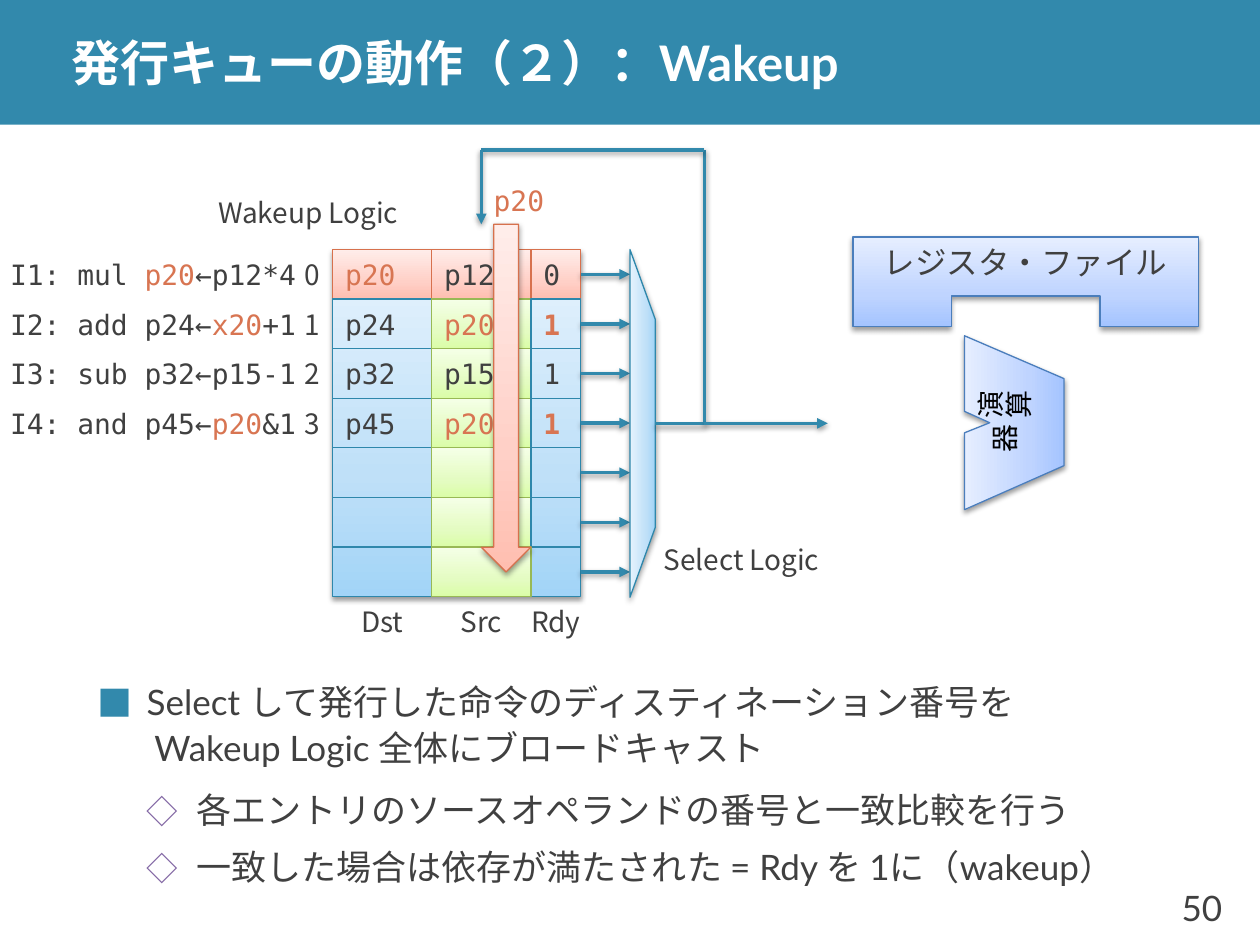
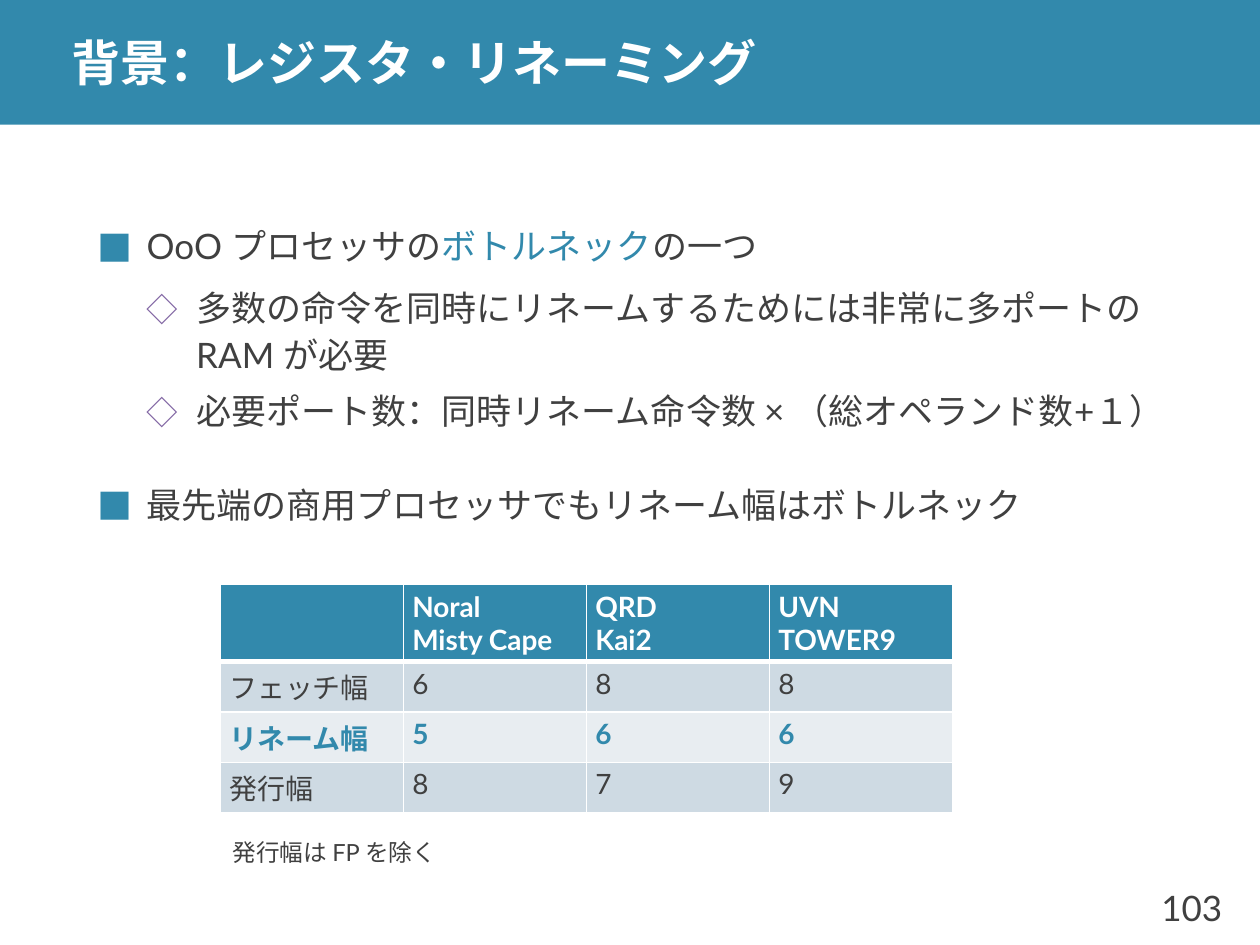
"""Build two slides on issue-queue wakeup and register renaming."""
from dataclasses import dataclass

from pptx import Presentation
from pptx.dml import color as dml
from pptx.enum import shapes, text
from pptx.oxml import parse_xml
from pptx.oxml.ns import nsdecls, qn
from pptx.util import Inches, Pt

NS = nsdecls("a")
CELL = 1 / 2.54
GRID_LEFT, GRID_TOP, ROWS = 2.64, 1.98, 7
COLUMNS = {"Dst": (0, 2), "Src": (2, 2), "Rdy": (4, 1)}


@dataclass(frozen=True)
class Theme:
    """Colours, fonts and type sizes of the deck."""

    accent: str = "3289AC"
    ink: str = "404040"
    white: str = "FFFFFF"
    black: str = "000000"
    hot: str = "D87552"
    diamond: str = "8064A2"
    row_dark: str = "CEDAE3"
    row_light: str = "E8EDF1"
    sans: str = "Lato"
    label_font: str = "Noto Sans CJK JP"
    mono: str = "DejaVu Sans Mono"
    narrow: str = "Arial Narrow"
    title_size: float = 28
    body_size: float = 20
    block_size: float = 18
    label_size: float = 16
    note_size: float = 13.5


@dataclass(frozen=True)
class Paint:
    """Gradient stops and outline colour of a shape."""

    stops: tuple
    line: str


THEME = Theme()
BLUE = Paint(("A2D4F7", "BFE0F8", "E6F3FD"), "2E87AB")
RED = Paint(("FFBEB0", "FFD0C7", "FFEDEA"), "D7714D")
GREEN = Paint(("DAFDA7", "E4FCC2", "F5FFE7"), "98B955")
INDIGO = Paint(("A4C4FF", "BFD4FF", "E6EEFF"), "4B7EBC")
OUTLINE = Paint((), "2E87AB")


def rgb(value):
    """Return a colour from its hex digits."""
    return dml.RGBColor.from_string(value)


def box(left, top, width, height):
    """Return a box in inches as lengths."""
    return [Inches(value) for value in (left, top, width, height)]


def place(shape, area):
    """Move and resize a shape."""
    shape.left, shape.top, shape.width, shape.height = area


def write(paragraph, runs, size=THEME.label_size, font=THEME.sans, bold=False):
    """Add (text, colour) runs to a paragraph, breaking lines at newlines."""
    for content, color in runs:
        for index, line in enumerate(content.split("\n")):
            if index:
                paragraph.add_line_break()
            run = paragraph.add_run()
            run.text = line
            run.font.name, run.font.size, run.font.bold = font, Pt(size), bold
            run.font.color.rgb = rgb(color)
            run.font._element.append(
                parse_xml(f'<a:ea {NS} typeface="{THEME.label_font}"/>'))


def set_frame(frame, anchor=text.MSO_ANCHOR.MIDDLE, wrap=False):
    """Set the anchor and wrapping of a text frame."""
    frame.auto_size = text.MSO_AUTO_SIZE.NONE
    frame.word_wrap = wrap
    frame.vertical_anchor = anchor
    return frame.paragraphs[0]


def add_label(slide, area, runs, align=text.PP_ALIGN.LEFT, inset=0.1, **style):
    """Add an unwrapped, vertically centred line of text."""
    frame = slide.shapes.add_textbox(*area).text_frame
    frame.margin_left = frame.margin_right = Inches(inset)
    paragraph = set_frame(frame)
    paragraph.alignment = align
    write(paragraph, runs, **style)


def add_shadow(shape):
    """Give a shape or connector the soft shadow of the diagram."""
    properties = shape._element.spPr
    for effect in properties.findall(qn("a:effectLst")):
        properties.remove(effect)
    properties.append(parse_xml(
        f'<a:effectLst {NS}><a:outerShdw blurRad="{Pt(3.1)}" dist="{Pt(1.6)}" dir="5400000" '
        'rotWithShape="0"><a:srgbClr val="000000"><a:alpha val="38000"/></a:srgbClr>'
        '</a:outerShdw></a:effectLst>'))


def paint_shape(shape, paint, shadow=False):
    """Apply a gradient, outline and optional shadow."""
    shape.fill.background()
    if paint.stops:
        stops = "".join(
            f'<a:gs pos="{position}"><a:srgbClr val="{color}"/></a:gs>'
            for position, color in zip((0, 35000, 100000), paint.stops))
        properties = shape._element.spPr
        properties.replace(properties.find(qn("a:noFill")), parse_xml(
            f'<a:gradFill {NS} rotWithShape="1"><a:gsLst>{stops}</a:gsLst>'
            '<a:lin ang="16200000" scaled="0"/></a:gradFill>'))
    shape.line.color.rgb = rgb(paint.line)
    shape.line.width = Pt(0.75)
    shape.shadow.inherit = False
    if shadow:
        add_shadow(shape)


def add_block(slide, kind, area, paint, shadow=False, rotation=0):
    """Add a painted preset shape."""
    shape = slide.shapes.add_shape(kind, *area)
    shape.rotation = rotation
    paint_shape(shape, paint, shadow)
    return shape


def add_outline(slide, points, close=True):
    """Add a freeform through points given in inches."""
    start, *rest = [(Inches(x), Inches(y)) for x, y in points]
    builder = slide.shapes.build_freeform(*start, scale=1.0)
    builder.add_line_segments(rest, close=close)
    return builder.convert_to_shape()


def style_wire(wire, arrow=False):
    """Style a wire and give it an arrowhead if asked."""
    wire.line.color.rgb = rgb(THEME.accent)
    wire.line.width = Pt(2)
    if arrow:
        wire.line._get_or_add_ln().append(parse_xml(f'<a:tailEnd {NS} type="triangle"/>'))
    add_shadow(wire)


def add_wire(slide, start, end, arrow=True, source=None):
    """Add a straight wire, joined to the right side of a source if given."""
    wire = slide.shapes.add_connector(
        shapes.MSO_CONNECTOR.STRAIGHT, *[Inches(value) for value in (*start, *end)])
    if source is not None:
        wire.begin_connect(source, 3)
    style_wire(wire, arrow)


def add_band(slide):
    """Put the title band in the layout that the slides share."""
    band = slide.shapes.add_shape(shapes.MSO_SHAPE.RECTANGLE, *box(0, 0, 10, 0.99))
    band.fill.solid()
    band.fill.fore_color.rgb = rgb(THEME.accent)
    band.line.fill.background()
    band.shadow.inherit = False
    slide.slide_layout.shapes.element.insert(2, band._element)


def add_slide(presentation, title, number):
    """Add a slide with its title and page number."""
    slide = presentation.slides.add_slide(presentation.slide_layouts[1])
    place(slide.shapes.title, box(0.47, 0, 9.53, 0.99))
    frame = slide.shapes.title.text_frame
    frame.margin_top = frame.margin_bottom = 0
    paragraph = set_frame(frame, wrap=True)
    paragraph.alignment = text.PP_ALIGN.LEFT
    write(paragraph, [(title, THEME.white)], THEME.title_size, bold=True)
    add_label(slide, box(9.13, 6.9, 0.67, 0.6), [(number, THEME.ink)],
              text.PP_ALIGN.RIGHT, size=THEME.body_size)
    return slide


def fill_body(slide, area, items):
    """Write (level, runs) items as bullets in the body placeholder."""
    body = slide.placeholders[1]
    place(body, area)
    first = set_frame(body.text_frame, wrap=True)
    bullets = (("■", THEME.accent, 100, 24, 6), ("◇", THEME.diamond, 90, 3, 3))
    for index, (level, runs) in enumerate(items):
        paragraph = body.text_frame.add_paragraph() if index else first
        mark, color, percent, before, after = bullets[level]
        properties = paragraph._p.get_or_add_pPr()
        properties.set("marL", str(Inches(CELL * (level + 1))))
        properties.set("indent", str(-Inches(CELL)))
        for element in (f'<a:buClr {NS}><a:srgbClr val="{color}"/></a:buClr>',
                        f'<a:buSzPct {NS} val="{percent}000"/>',
                        f'<a:buFont {NS} typeface="{THEME.label_font}"/>',
                        f'<a:buChar {NS} char="{mark}"/>'):
            properties.append(parse_xml(element))
        paragraph.level = level
        paragraph.line_spacing = 1.1
        paragraph.space_before = Pt(before if index else 0)
        paragraph.space_after = Pt(after)
        write(paragraph, runs, THEME.body_size)


def grid_box(column, row):
    """Return the box of a queue cell."""
    offset, span = COLUMNS[column]
    return box(GRID_LEFT + offset * CELL, GRID_TOP + row * CELL, span * CELL, CELL)


def add_queue(slide):
    """Draw the issue queue with its ready wires and column names."""
    ink, hot = THEME.ink, THEME.hot
    entries = [
        (("p20", hot), ("p12", ink), ("0", ink)),
        (("p24", ink), ("p20", hot), ("1", hot)),
        (("p32", ink), ("p15", ink), ("1", ink)),
        (("p45", ink), ("p20", hot), ("1", hot)),
    ]
    rectangle = shapes.MSO_SHAPE.RECTANGLE
    add_block(slide, rectangle, box(GRID_LEFT, GRID_TOP, 5 * CELL, ROWS * CELL), BLUE, True)
    for row in range(ROWS):
        ready = None
        for index, name in enumerate(COLUMNS):
            if row == ROWS - 1 and name != "Src":
                continue
            paint = RED if row == 0 else GREEN if name == "Src" else OUTLINE
            cell = add_block(slide, rectangle, grid_box(name, row), paint)
            if row < len(entries):
                value = entries[row][index]
                paragraph = set_frame(cell.text_frame)
                paragraph.alignment = text.PP_ALIGN.LEFT
                write(paragraph, [value], font=THEME.mono,
                      bold=name == "Rdy" and value[1] == hot)
            if name == "Rdy":
                ready = cell
        middle = GRID_TOP + (row + 0.5) * CELL
        add_wire(slide, (4.61, middle), (5, middle), source=ready)
    for name in COLUMNS:
        add_label(slide, grid_box(name, ROWS), [(name, ink)], text.PP_ALIGN.CENTER,
                  font=THEME.label_font)


def add_instructions(slide):
    """List the instructions beside the queue with their entry numbers."""
    ink, hot = THEME.ink, THEME.hot
    instructions = [
        [("I1: mul ", ink), ("p20", hot), ("←p12*4", ink)],
        [("I2: add p24←", ink), ("x20", hot), ("+1", ink)],
        [("I3: sub p32←p15-1", ink)],
        [("I4: and p45←", ink), ("p20", hot), ("&1", ink)],
    ]
    for row, runs in enumerate(instructions):
        top = GRID_TOP + row * CELL
        add_label(slide, box(0.08, top, 0.79, CELL), runs, inset=0, font=THEME.mono)
        add_label(slide, box(1.85, top, 0.79, CELL), [(str(row), ink)],
                  text.PP_ALIGN.RIGHT, font=THEME.label_font)


def add_select_logic(slide):
    """Draw the selector, its output and the feedback to wakeup."""
    add_block(slide, shapes.MSO_SHAPE.FLOWCHART_MANUAL_OPERATION,
              box(3.72, 3.26, 2.76, 0.2), BLUE, True, 270)
    feedback = add_outline(slide, [(5.2, 3.36), (5.59, 3.36), (5.59, 1.19)], close=False)
    feedback.fill.background()
    style_wire(feedback)
    add_wire(slide, (3.82, 1.19), (5.59, 1.19), arrow=False)
    add_wire(slide, (5.59, 3.36), (6.57, 3.36))
    add_wire(slide, (3.82, 1.19), (3.82, 1.78))
    for name, left, top in (("Wakeup Logic", 2.05, 1.49), ("Select Logic", 5.49, 4.24)):
        add_label(slide, box(left, top, 0.79, CELL), [(name, THEME.ink)],
                  text.PP_ALIGN.CENTER, font=THEME.label_font)
    add_label(slide, box(3.82, 1.39, 0.79, CELL), [("p20", THEME.hot)], font=THEME.mono)
    add_block(slide, shapes.MSO_SHAPE.DOWN_ARROW, box(3.82, 1.78, CELL, 2.76), RED, True)


def add_datapath(slide):
    """Draw the register file and the arithmetic unit."""
    unit = add_outline(slide, [(8.74, 2.96), (8.4, 3.75), (7.71, 3.75), (7.36, 2.96),
                               (7.97, 2.96), (8.05, 3.16), (8.14, 2.96)])
    registers = add_outline(slide, [(7.55, 2.59), (7.55, 2.35), (8.73, 2.35), (8.73, 2.59),
                                    (9.51, 2.59), (9.51, 1.88), (6.77, 1.88), (6.77, 2.59)])
    unit.rotation = 270
    unit.text_frame._txBody.bodyPr.set("vert", "eaVert")
    middle, top = text.MSO_ANCHOR.MIDDLE, text.MSO_ANCHOR.TOP
    for shape, name, anchor, size, font, color in (
            (unit, "演算器", middle, THEME.label_size, THEME.narrow, THEME.black),
            (registers, "レジスタ・ファイル", top, THEME.block_size, THEME.sans, THEME.ink)):
        paint_shape(shape, INDIGO, True)
        paragraph = set_frame(shape.text_frame, anchor, wrap=True)
        paragraph.alignment = text.PP_ALIGN.CENTER
        write(paragraph, [(name, color)], size, font)


def add_width_table(slide):
    """Add the table of pipeline widths."""
    rows = [("", "Noral\nMisty Cape", "QRD\nKai2", "UVN\nTOWER9"),
            ("フェッチ幅", "6", "8", "8"), ("リネーム幅", "5", "6", "6"),
            ("発行幅", "8", "7", "9")]
    styles = [(THEME.accent, THEME.white, True), (THEME.row_dark, THEME.ink, False),
              (THEME.row_light, THEME.accent, True), (THEME.row_dark, THEME.ink, False)]
    table = slide.shapes.add_table(4, 4, *box(1.75, 4.64, 5.81, 1.8)).table
    for index, (values, (fill, color, bold)) in enumerate(zip(rows, styles)):
        table.rows[index].height = Inches(0.4 if index else 0.6)
        for column, value in enumerate(values):
            cell = table.cell(index, column)
            cell.margin_left = cell.margin_right = Inches(0.07)
            cell.margin_top = cell.margin_bottom = Inches(0.04)
            for side in "LRTB":
                heavy = (index, side) in ((0, "B"), (1, "T"))
                cell._tc.get_or_add_tcPr().append(parse_xml(
                    f'<a:ln{side} {NS} w="{Pt(3 if heavy else 1)}"><a:solidFill>'
                    f'<a:srgbClr val="{THEME.white}"/></a:solidFill></a:ln{side}>'))
            cell.fill.solid()
            cell.fill.fore_color.rgb = rgb(fill)
            if value:
                write(cell.text_frame.paragraphs[0], [(value, color)], bold=bold)


def main():
    """Build and save the deck."""
    presentation = Presentation()
    presentation.slide_width, presentation.slide_height = Inches(10), Inches(7.5)
    ink = THEME.ink

    wakeup = add_slide(presentation, "発行キューの動作（２）：Wakeup", "50")
    add_band(wakeup)
    fill_body(wakeup, box(0.67, 5.42, 9.06, 1.57), [
        (0, [("Select して発行した命令のディスティネーション番号を\n Wakeup Logic 全体にブロードキャスト", ink)]),
        (1, [("各エントリのソースオペランドの番号と一致比較を行う", ink)]),
        (1, [("一致した場合は依存が満たされた = Rdy を 1に（wakeup）", ink)])])
    add_queue(wakeup)
    add_select_logic(wakeup)
    add_datapath(wakeup)
    add_instructions(wakeup)

    renaming = add_slide(presentation, "背景：レジスタ・リネーミング", "103")
    fill_body(renaming, box(0.67, 1.19, 9.06, 3.54), [
        (0, [("OoO プロセッサの", ink), ("ボトルネック", THEME.accent), ("の一つ", ink)]),
        (1, [("多数の命令を同時にリネームするためには非常に多ポートのRAM が必要", ink)]),
        (1, [("必要ポート数：同時リネーム命令数 × （総オペランド数+１）", ink)]),
        (0, [("最先端の商用プロセッサでもリネーム幅はボトルネック", ink)])])
    add_width_table(renaming)
    add_label(renaming, box(1.75, 6.6, 7.68, 0.33), [("発行幅は FP を除く", ink)],
              size=THEME.note_size)
    presentation.save("out.pptx")


if __name__ == "__main__":
    main()
